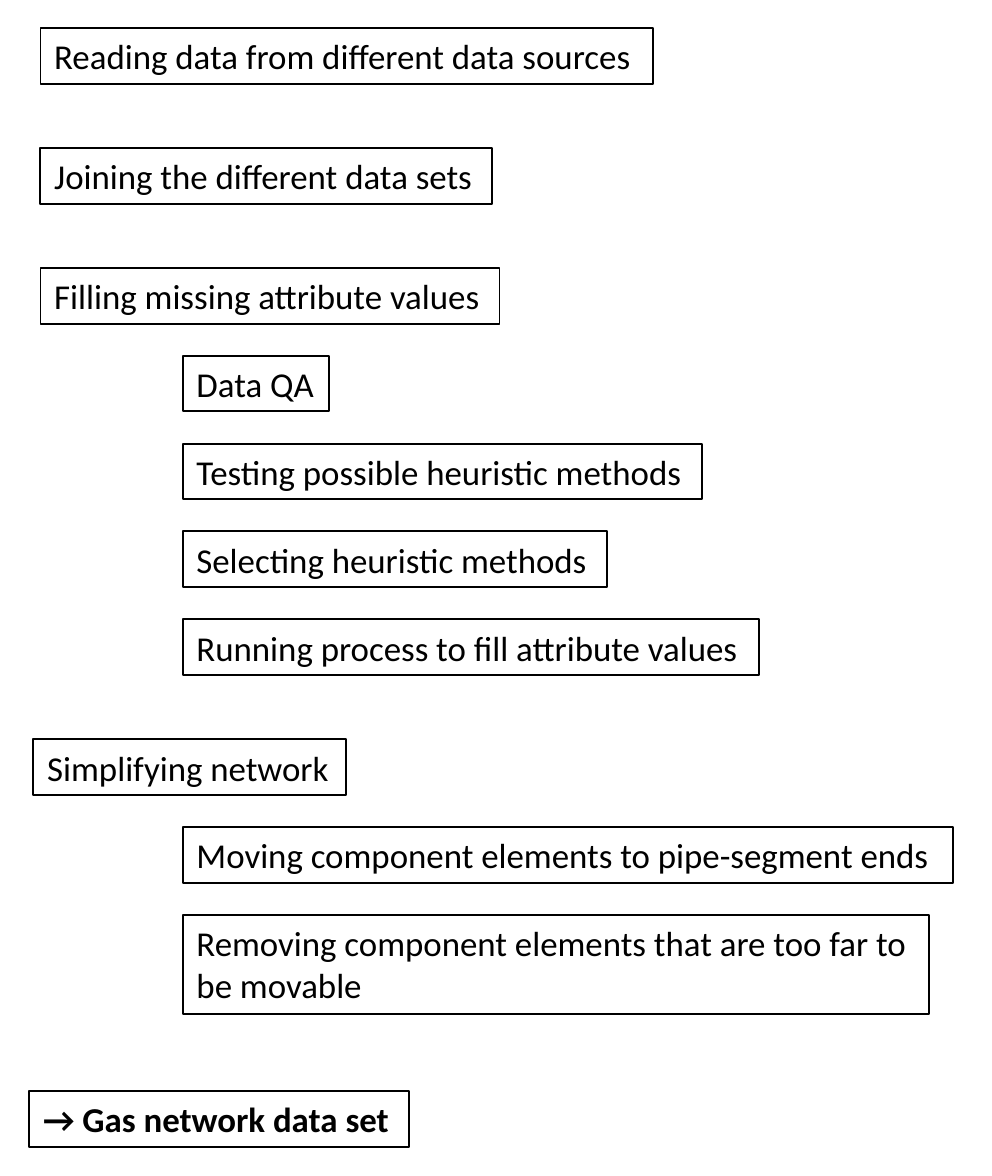
from typing import NamedTuple

from pptx import Presentation
from pptx.dml.color import RGBColor
from pptx.enum.text import MSO_AUTO_SIZE
from pptx.util import Inches, Pt

BLACK = RGBColor(0, 0, 0)
WHITE = RGBColor(255, 255, 255)

SLIDE_WIDTH, SLIDE_HEIGHT = 7.11, 8.43
TOP_MARGIN = 0.2
LINE_HEIGHT, EXTRA_LINE = 0.4, 0.31

# Left edges of the columns
STAGE, NETWORK, RESULT, SUBSTEP = 0.29, 0.24, 0.21, 1.31

# Space above a box, by the column it stands in
GAPS = {STAGE: 0.46, NETWORK: 0.46, RESULT: 0.55, SUBSTEP: 0.23}


class Step(NamedTuple):
    """One box of the workflow; a vertical tab in the text breaks the line."""
    left: float
    width: float
    text: str


STEPS = [
    Step(STAGE, 4.39, "Reading data from different data sources"),
    Step(STAGE, 3.24, "Joining the different data sets"),
    Step(STAGE, 3.29, "Filling missing attribute values"),
    Step(SUBSTEP, 1.05, "Data QA"),
    Step(SUBSTEP, 3.72, "Testing possible heuristic methods"),
    Step(SUBSTEP, 3.04, "Selecting heuristic methods"),
    Step(SUBSTEP, 4.13, "Running process to fill attribute values"),
    Step(NETWORK, 2.24, "Simplifying network"),
    Step(SUBSTEP, 5.52, "Moving component elements to pipe-segment ends"),
    Step(SUBSTEP, 5.35,
         "Removing component elements that are too far to\vbe movable"),
    Step(RESULT, 2.72, "→ Gas network data set"),
]


def step_height(step):
    """Return the height of a box from its number of text lines."""
    return LINE_HEIGHT + EXTRA_LINE * step.text.count("\v")


def add_step(page, step, top):
    """Add one outlined text box; the result is set in bold."""
    box = page.shapes.add_textbox(
        Inches(step.left), Inches(top),
        Inches(step.width), Inches(step_height(step)))
    box.line.color.rgb = BLACK
    box.line.width = Pt(1)
    frame = box.text_frame
    frame.word_wrap = False
    frame.auto_size = MSO_AUTO_SIZE.SHAPE_TO_FIT_TEXT
    para = frame.paragraphs[0]
    para.text = step.text
    para.font.name = "Calibri"
    para.font.size = Pt(18)
    para.font.color.rgb = BLACK
    if step.left == RESULT:
        para.font.bold = True


def add_workflow(page, steps):
    """Stack the boxes downwards, with the gap that each column asks for."""
    top = TOP_MARGIN
    for index, step in enumerate(steps):
        if index:
            top += GAPS[step.left]
        add_step(page, step, top)
        top += step_height(step)


def main():
    """Build and save the workflow slide."""
    deck = Presentation()
    deck.slide_width = Inches(SLIDE_WIDTH)
    deck.slide_height = Inches(SLIDE_HEIGHT)
    page = deck.slides.add_slide(deck.slide_layouts[6])
    page.background.fill.solid()
    page.background.fill.fore_color.rgb = WHITE
    add_workflow(page, STEPS)
    deck.save("out.pptx")


main()
